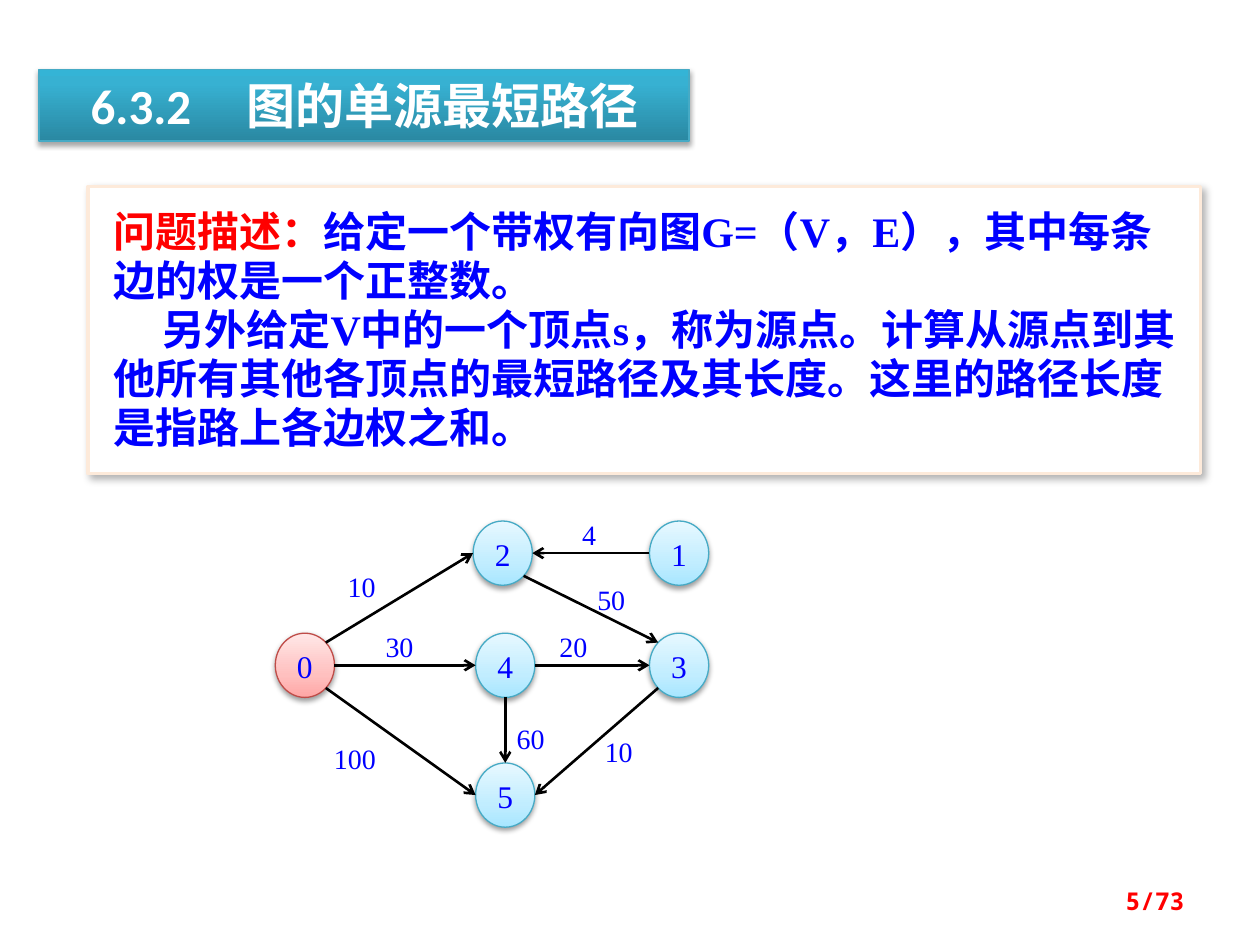
import math
import pptx
import pptx.util
import pptx.dml.color
import pptx.enum.shapes
import pptx.enum.text
import pptx.oxml.ns
from lxml import etree

Inches, Pt = pptx.util.Inches, pptx.util.Pt
SHAPE = pptx.enum.shapes.MSO_SHAPE
ALIGN = pptx.enum.text.PP_ALIGN
ANCHOR = pptx.enum.text.MSO_ANCHOR

# Theme: colours, gradients, fonts and sizes
THEME = {
    "blue": "0000FF", "red": "FF0000", "white": "FFFFFF", "black": "000000",
    "teal": "46AAC5", "peach": "FDEADA", "rose": "BF4C48",
    "bar": [(0, "2A88A2"), (80, "37B1D2"), (100, "34B4D6")],
    "cool": [(0, "A7E6FF"), (35, "C1EDFF"), (100, "E7F8FF")],
    "warm": [(0, "FFA6A5"), (35, "FFC0BF"), (100, "FFE7E7")],
    "head": "Calibri", "serif": "Times New Roman",
    "mono": "Noto Sans Mono", "cjk": "Noto Sans CJK SC",
    "title": 28, "body": 24, "node": 18, "cost": 16, "page": 14,
}

# Content
TITLE = "6.3.2\t图的单源最短路径"
LEAD = "问题描述："
BODY = [
    "给定一个带权有向图G=（V，E），其中每条边的权是一个正整数。",
    "另外给定V中的一个顶点s，称为源点。计算从源点到其他所有其他各顶点的最短路径"
    "及其长度。这里的路径长度是指路上各边权之和。",
]
PAGE = "5/73"

# Vertex: centre
NODES = {0: (2.42, 5.28), 2: (3.99, 4.39), 4: (4.01, 5.28),
         5: (4.01, 6.31), 3: (5.39, 5.28), 1: (5.39, 4.39)}
SIZE = (0.47, 0.51)
SOURCE = 0

# Edge: start vertex, its angle, end vertex, its angle, weight, label place
# (angles run clockwise from the right)
EDGES = [
    (0, -45, 2, 180, 10, (2.76, 4.45)),
    (0, 45, 5, 180, 100, (2.65, 5.82)),
    (0, 0, 4, 180, 30, (3.06, 4.93)),
    (4, 90, 5, -90, 60, (4.1, 5.66)),
    (3, 135, 5, 0, 10, (4.8, 5.76)),
    (4, 0, 3, 180, 20, (4.44, 4.93)),
    (2, 45, 3, -135, 50, (4.74, 4.56)),
    (1, 180, 2, 0, 4, (4.62, 4.04)),
]


def color(name):
    return pptx.dml.color.RGBColor.from_string(THEME[name])


def add(parent, tag, **attrs):
    return etree.SubElement(parent, pptx.oxml.ns.qn(tag), attrs)


def blend(shape, name):
    shape.fill.gradient()
    shape.fill.gradient_angle = 90
    stops = shape.element.spPr.find(".//" + pptx.oxml.ns.qn("a:gsLst"))
    for old in list(stops):
        stops.remove(old)
    for pos, rgb in THEME[name]:
        add(add(stops, "a:gs", pos=str(pos * 1000)), "a:srgbClr", val=rgb)


def outline(shape, name, width):
    shape.line.color.rgb = color(name)
    shape.line.width = Pt(width)


def shade(shape, alpha, blur, dist, angle):
    shape.shadow.inherit = False
    effect = shape.element.spPr.find(pptx.oxml.ns.qn("a:effectLst"))
    outer = add(effect, "a:outerShdw", blurRad=str(Pt(blur)), dist=str(Pt(dist)),
                dir=str(angle * 60000), algn="ctr", rotWithShape="0")
    rgb = add(outer, "a:srgbClr", val=THEME["black"])
    add(rgb, "a:alpha", val=str(alpha * 1000))


def style(run, face, size, tint, bold=False):
    font = run.font
    font.name, font.size, font.bold = THEME[face], Pt(THEME[size]), bold
    font.color.rgb = color(tint)
    add(run._r.get_or_add_rPr(), "a:ea", typeface=THEME["cjk"])


def frame(shape, insets, anchor=ANCHOR.TOP):
    box = shape.text_frame
    box.word_wrap = True
    box.vertical_anchor = anchor
    (box.margin_left, box.margin_top,
     box.margin_right, box.margin_bottom) = map(Inches, insets)
    return box


def write(shape, text, size, align):
    box = frame(shape, (0, 0, 0, 0))
    box.text = str(text)
    para = box.paragraphs[0]
    para.alignment, para.line_spacing = align, Pt(24)
    style(para.runs[0], "serif", size, "blue")


def rim(node, angle):
    turn = math.radians(angle)
    x, y = NODES[node]
    return (Inches(x + SIZE[0] / 2 * math.cos(turn)),
            Inches(y + SIZE[1] / 2 * math.sin(turn)))


def make_title(slide):
    bar = slide.shapes.title
    bar.left, bar.top, bar.width, bar.height = map(Inches, (0.31, 0.55, 5.16, 0.57))
    blend(bar, "bar")
    outline(bar, "teal", 0.75)
    shade(bar, 35, 3.1, 1.8, 90)
    box = frame(bar, (0.41, 0.05, 0.1, 0.05), ANCHOR.MIDDLE)
    box.auto_size = pptx.enum.text.MSO_AUTO_SIZE.NONE
    box.text = TITLE
    para = box.paragraphs[0]
    para.alignment = ALIGN.LEFT
    tabs = add(para._p.get_or_add_pPr(), "a:tabLst")
    add(tabs, "a:tab", pos=str(Inches(1.24)), algn="l")
    for run in para.runs:
        style(run, "head", "title", "white", True)


def make_body(slide):
    card = slide.shapes.add_shape(
        SHAPE.RECTANGLE, *map(Inches, (0.7, 1.48, 8.83, 2.28)))
    card.fill.solid()
    card.fill.fore_color.rgb = color("white")
    outline(card, "peach", 2)
    shade(card, 30, 4.5, 2.6, 53)
    box = frame(card, (0.2, 0.16, 0.1, 0.16))
    first, second = box.paragraphs[0], box.add_paragraph()
    for para, texts in ((first, (LEAD, BODY[0])), (second, BODY[1:])):
        para.alignment, para.line_spacing = ALIGN.LEFT, Pt(28)
        for text in texts:
            run = para.add_run()
            run.text = text
            style(run, "serif", "body", "red" if text == LEAD else "blue", True)
    second._p.get_or_add_pPr().set("indent", str(Inches(0.39)))


def make_graph(slide):
    shapes = slide.shapes.add_group_shape().shapes
    # Weights
    for *_, cost, (x, y) in EDGES:
        width = 0.55 if cost >= 100 else 0.31
        tag = shapes.add_shape(SHAPE.RECTANGLE, *map(Inches, (x, y, width, 0.35)))
        tag.shadow.inherit = False
        tag.fill.solid()
        tag.fill.fore_color.rgb = color("white")
        tag.line.fill.background()
        write(tag, cost, "cost", ALIGN.LEFT)
    # Vertices
    for name, (x, y) in NODES.items():
        place = (x - SIZE[0] / 2, y - SIZE[1] / 2, *SIZE)
        node = shapes.add_shape(SHAPE.OVAL, *map(Inches, place))
        blend(node, "warm" if name == SOURCE else "cool")
        outline(node, "rose" if name == SOURCE else "teal", 0.75)
        shade(node, 38, 3.1, 1.6, 90)
        write(node, name, "node", ALIGN.CENTER)
    # Arrows
    for start, leave, end, enter, *_ in EDGES:
        arrow = shapes.add_connector(pptx.enum.shapes.MSO_CONNECTOR.STRAIGHT,
                                     *rim(start, leave), *rim(end, enter))
        outline(arrow, "black", 1.5)
        add(arrow.line._get_or_add_ln(), "a:tailEnd", type="arrow")
        add(arrow.element.spPr, "a:effectLst")


def make_page(slide):
    note = slide.shapes.add_textbox(*map(Inches, (7.17, 6.95, 2.33, 0.4)))
    box = frame(note, (0.1, 0.05, 0.1, 0.05), ANCHOR.MIDDLE)
    box.text = PAGE
    box.paragraphs[0].alignment = ALIGN.RIGHT
    style(box.paragraphs[0].runs[0], "mono", "page", "red", True)


def main():
    deck = pptx.Presentation()
    deck.slide_width, deck.slide_height = Inches(10), Inches(7.5)
    slide = deck.slides.add_slide(deck.slide_layouts[5])
    for make in (make_title, make_body, make_graph, make_page):
        make(slide)
    deck.save("out.pptx")


if __name__ == "__main__":
    main()
